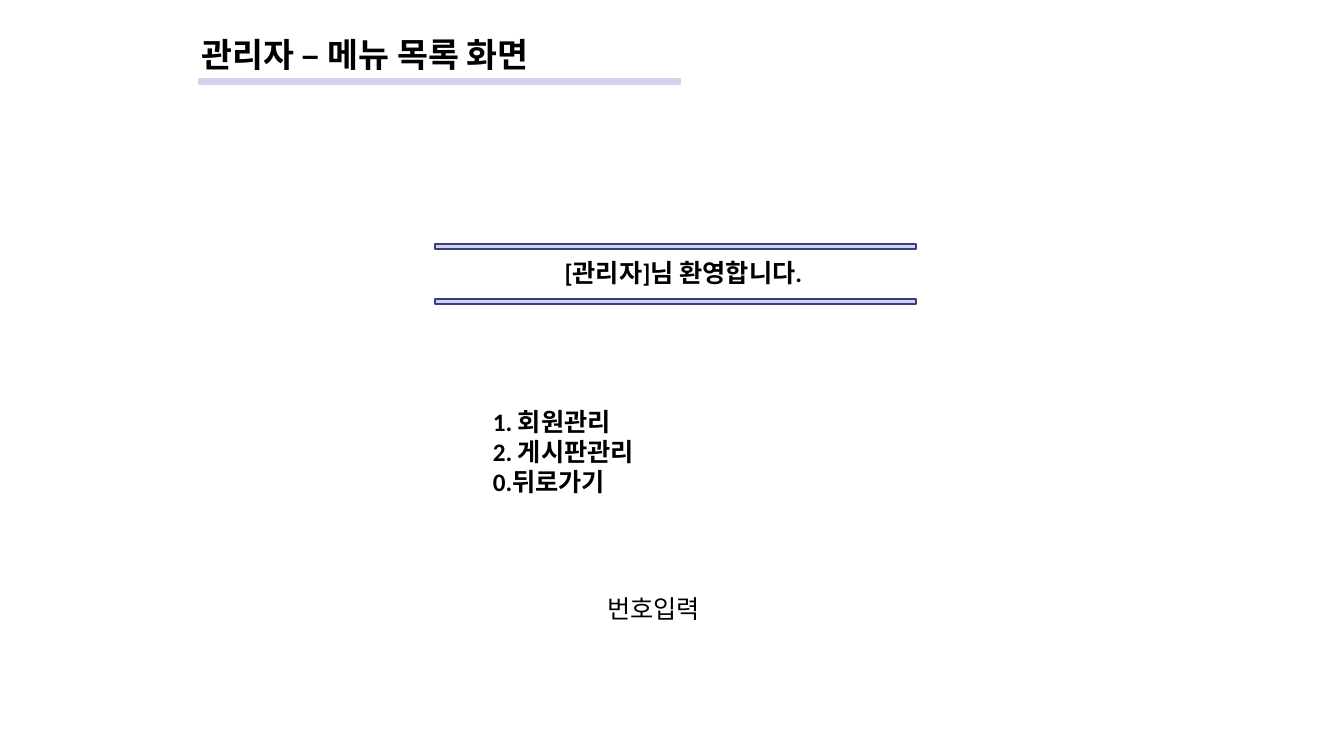
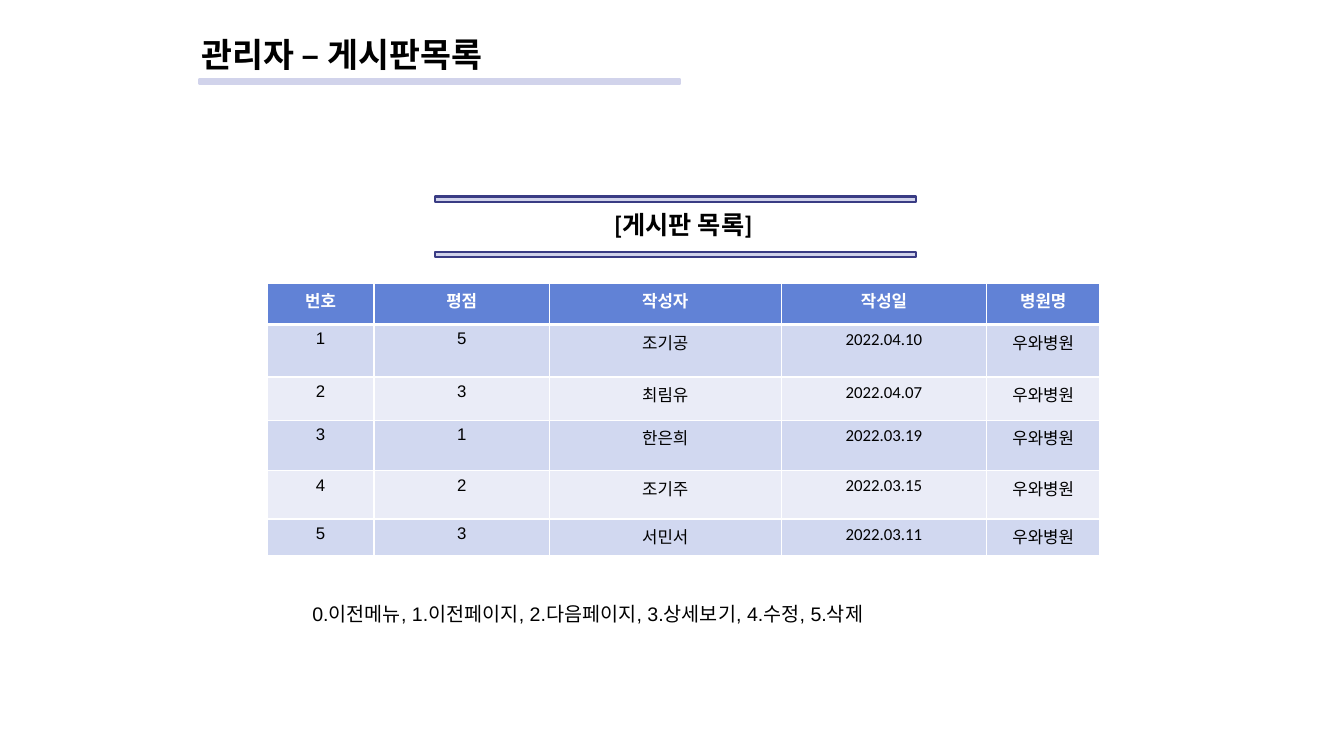
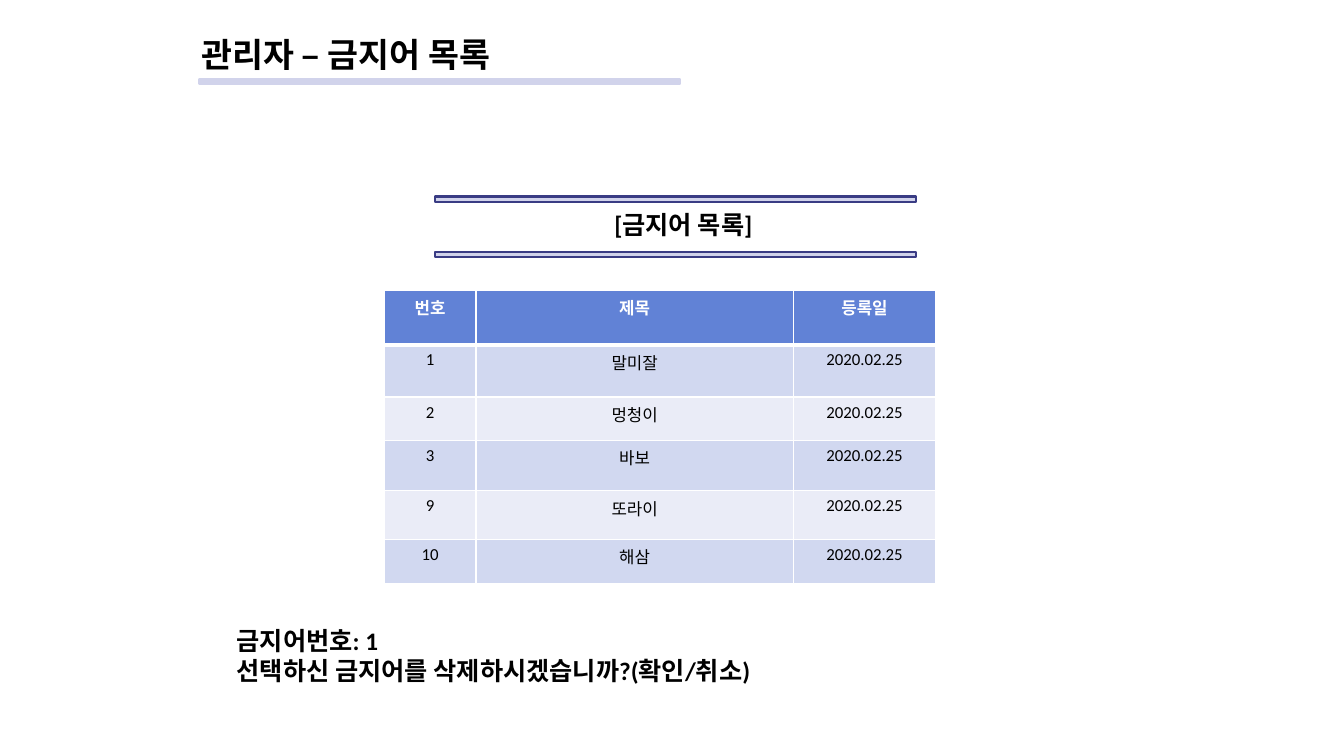
from pptx import Presentation
from pptx.dml.color import RGBColor
from pptx.enum.shapes import MSO_SHAPE
from pptx.enum.text import MSO_ANCHOR, MSO_AUTO_SIZE, PP_ALIGN
from pptx.oxml.ns import qn
from pptx.util import Inches, Pt
from lxml.etree import SubElement

BLACK = RGBColor(0x00, 0x00, 0x00)
WHITE = RGBColor(0xFF, 0xFF, 0xFF)
LAVENDER = RGBColor(0xD1, 0xD3, 0xEB)
NAVY = RGBColor(0x3A, 0x3C, 0x84)
HEADER_BLUE = RGBColor(0x61, 0x82, 0xD6)
ROW_DARK = RGBColor(0xD1, 0xD8, 0xF0)
ROW_LIGHT = RGBColor(0xEA, 0xEC, 0xF7)
KOREAN_FONT = "Noto Sans CJK KR"

deck = Presentation()
deck.slide_width, deck.slide_height = Inches(13.33), Inches(7.5)


def area(left, top, width, height):
    """Turn percentages of the slide's width and height into lengths."""
    across, down = deck.slide_width / 100, deck.slide_height / 100
    return (round(left * across), round(top * down),
            round(width * across), round(height * down))


def write(frame, text, size, font="Calibri", bold=False, color=BLACK,
          align=PP_ALIGN.LEFT):
    """Fill a text frame, one paragraph per line of text."""
    frame.text = text
    frame.word_wrap = True
    for paragraph in frame.paragraphs:
        paragraph.alignment = align
        for span in paragraph.runs:
            span.font.name = font
            span.font.size = Pt(size)
            span.font.bold = bold
            span.font.color.rgb = color
            east_asian = SubElement(span.font._element, qn("a:ea"))
            east_asian.set("typeface", KOREAN_FONT)


# Title, rule and banner of every page
BAR_WIDTH, BAR_HEIGHT, BANNER_LEFT, BANNER_GAP = 35.78, 0.67, 32.4, 7.33
headings = [
    ("관리자 – 메뉴 목록 화면", "[관리자]님 환영합니다.", 32.27),
    ("관리자 – 게시판목록", "[게시판 목록]", 26),
    ("관리자 – 금지어 목록", "[금지어 목록]", 26),
]
pages = []
for title, banner, banner_top in headings:
    page = deck.slides.add_slide(deck.slide_layouts[6])
    pages.append(page)

    title_box = page.shapes.add_textbox(*area(14.25, 3.07, 36, 8.13))
    title_box.text_frame.vertical_anchor = MSO_ANCHOR.MIDDLE
    write(title_box.text_frame, title, 24, KOREAN_FONT, bold=True)

    for left, top, edge in [
        (14.85, 10.4, LAVENDER),
        (BANNER_LEFT, banner_top, NAVY),
        (BANNER_LEFT, banner_top + BANNER_GAP, NAVY),
    ]:
        bar = page.shapes.add_shape(MSO_SHAPE.FLOWCHART_PROCESS,
                                    *area(left, top, BAR_WIDTH, BAR_HEIGHT))
        bar.shadow.inherit = False
        bar.fill.solid()
        bar.fill.fore_color.rgb = LAVENDER
        bar.line.color.rgb = edge
        bar.line.width = Pt(1.5)

    banner_box = page.shapes.add_textbox(
        *area(BANNER_LEFT, banner_top + 1.07, 36.9, 5.33))
    write(banner_box.text_frame, banner, 18, bold=True, align=PP_ALIGN.CENTER)

menu_page, board_page, banned_page = pages

# Menu and number prompt
menu_box = menu_page.shapes.add_textbox(*area(35.93, 53.07, 31.65, 13.47))
write(menu_box.text_frame, "1. 회원관리\n2. 게시판관리\n0.뒤로가기", 18, bold=True)
menu_box.text_frame.auto_size = MSO_AUTO_SIZE.SHAPE_TO_FIT_TEXT
for paragraph in menu_box.text_frame.paragraphs:
    properties = paragraph._p.get_or_add_pPr()
    properties.set("marL", str(Inches(0.38)))
    properties.set("indent", str(-Inches(0.38)))

prompt = menu_page.shapes.add_shape(MSO_SHAPE.RECTANGLE,
                                    *area(35.93, 74.27, 25.43, 12.53))
prompt.shadow.inherit = False
prompt.fill.background()
prompt.line.color.rgb = WHITE
prompt.line.width = Pt(1.5)
prompt.text_frame.vertical_anchor = MSO_ANCHOR.MIDDLE
write(prompt.text_frame, "번호입력", 18, align=PP_ALIGN.CENTER)

# Tables: page, left, top, column widths, row heights, column fonts, rows
MIDDLE_ROWS = [6.93, 5.73, 6.67, 6.4]
board_rows = [
    ("번호", "평점", "작성자", "작성일", "병원명"),
    ("1", "5", "조기공", "2022.04.10", "우와병원"),
    ("2", "3", "최림유", "2022.04.07", "우와병원"),
    ("3", "1", "한은희", "2022.03.19", "우와병원"),
    ("4", "2", "조기주", "2022.03.15", "우와병원"),
    ("5", "3", "서민서", "2022.03.11", "우와병원"),
]
banned_rows = [
    ("번호", "제목", "등록일"),
    ("1", "말미잘", "2020.02.25"),
    ("2", "멍청이", "2020.02.25"),
    ("3", "바보", "2020.02.25"),
    ("9", "또라이", "2020.02.25"),
    ("10", "해삼", "2020.02.25"),
]
tables = [
    (board_page, 19.88, 37.47, [7.95, 13.05, 17.25, 15.3, 8.4],
     [5.47, *MIDDLE_ROWS, 4.8],
     ["Arial", "Arial", "Arial", "Calibri", "Arial"], board_rows),
    (banned_page, 28.58, 38.4, [6.83, 23.63, 10.58],
     [7.2, *MIDDLE_ROWS, 5.87],
     ["Calibri", "Arial", "Calibri"], banned_rows),
]
for page, left, top, widths, heights, fonts, rows in tables:
    table = page.shapes.add_table(
        len(rows), len(widths),
        *area(left, top, sum(widths), sum(heights))).table
    for column, width in zip(table.columns, widths):
        column.width = area(0, 0, width, 0)[2]
    for row, height in zip(table.rows, heights):
        row.height = area(0, 0, 0, height)[3]

    for row_index, row in enumerate(rows):
        header = row_index == 0
        band = ROW_DARK if row_index % 2 else ROW_LIGHT
        for column_index, text in enumerate(row):
            cell = table.cell(row_index, column_index)
            write(cell.text_frame, text, 12,
                  "Arial" if header else fonts[column_index], bold=header,
                  color=WHITE if header else BLACK, align=PP_ALIGN.CENTER)
            thick_side = {0: "lnB", 1: "lnT"}.get(row_index)
            for side in ("lnL", "lnR", "lnT", "lnB"):
                border = SubElement(cell._tc.get_or_add_tcPr(), qn(f"a:{side}"))
                border.set("w", str(Pt(3 if side == thick_side else 1)))
                paint = SubElement(border, qn("a:solidFill"))
                SubElement(paint, qn("a:srgbClr")).set("val", str(WHITE))
            cell.fill.solid()
            cell.fill.fore_color.rgb = HEADER_BLUE if header else band

# Commands below the tables
command_box = board_page.shapes.add_textbox(*area(22.5, 78.27, 54.9, 5.87))
command_box.text_frame.margin_top = Inches(0.1)
command_box.text_frame.margin_bottom = Inches(0.1)
write(command_box.text_frame,
      "0.이전메뉴, 1.이전페이지, 2.다음페이지, 3.상세보기, 4.수정, 5.삭제", 14, "Arial")

delete_box = banned_page.shapes.add_textbox(*area(16.88, 82, 41.1, 13.47))
write(delete_box.text_frame,
      "금지어번호: 1\n선택하신 금지어를 삭제하시겠습니까?(확인/취소)", 18, bold=True)

deck.save("out.pptx")
